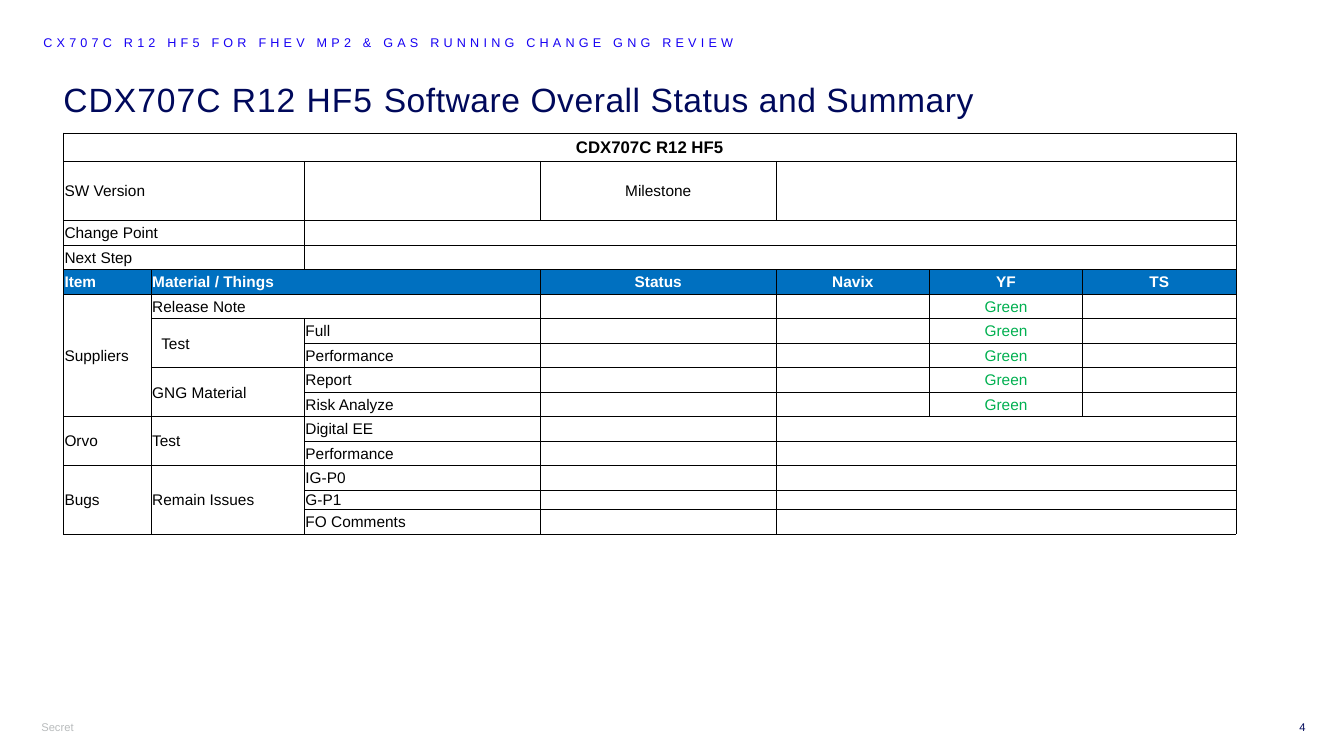
from lxml import etree
from pptx import Presentation
from pptx.dml.color import RGBColor
from pptx.enum.text import MSO_ANCHOR as Anchor, PP_ALIGN as Align
from pptx.oxml.ns import qn
from pptx.util import Inches, Pt

COLORS = {"navy": "00095B", "violet": "1700F3", "gray": "B9BCBD", "black": "000000",
          "white": "FFFFFF", "header": "0070C0", "green": "00B050"}


def add_run(paragraph, text, size, color, bold=False, spacing=0):
    run = paragraph.add_run()
    run.text = text
    run.font.name = "Arial"
    run.font.size = Pt(size)
    run.font.bold = bold
    run.font.color.rgb = RGBColor.from_string(COLORS[color])
    if spacing:
        run._r.get_or_add_rPr().set("spc", str(round(spacing * 100)))


def add_label(box, runs, size, color, align=Align.LEFT, wrap=True, line_spacing=1.0):
    frame = slide.shapes.add_textbox(*[Inches(v) for v in box]).text_frame
    frame.word_wrap = wrap
    frame.margin_left = frame.margin_right = 0
    frame.margin_top = frame.margin_bottom = Inches(0.05)
    paragraph = frame.paragraphs[0]
    paragraph.alignment = align
    paragraph.line_spacing = line_spacing
    for text, spacing in runs:
        add_run(paragraph, text, size, color, spacing=spacing)


prs = Presentation()
prs.slide_width, prs.slide_height = Inches(13.33), Inches(7.5)
slide = prs.slides.add_slide(prs.slide_layouts[6])

# Title, heading line and footer
add_label((0.41, 7.1, 0.43, 0.24), [("Secret", 0)], 8, "gray", wrap=False)
add_label((0.63, 0.78, 11.5, 0.75),
          [("CDX707C R12 HF5 ", 0.7), ("Software Overall Status and Summary", 0.4)],
          24, "navy", line_spacing=0.9)
add_label((0.43, 0.31, 7.61, 0.24),
          [("CX707C R12 HF5 FOR FHEV MP2 & GAS RUNNING CHANGE GNG REVIEW", 3)],
          9, "violet", line_spacing=0.9)
add_label((12.6, 7.1, 0.35, 0.24), [("4", 0)], 8, "navy", align=Align.RIGHT)

# Status table content
status_rows = [
    ["CDX707C R12 HF5", "", "", "", "", "", ""],
    ["SW Version", "", "", "Milestone", "", "", ""],
    ["Change Point", "", "", "", "", "", ""],
    ["Next Step", "", "", "", "", "", ""],
    ["Item", "Material / Things", "", "Status", "Navix", "YF", "TS"],
    ["Suppliers", "Release Note", "", "", "", "Green", ""],
    ["", "Test", "Full", "", "", "Green", ""],
    ["", "", "Performance", "", "", "Green", ""],
    ["", "GNG Material", "Report", "", "", "Green", ""],
    ["", "", "Risk Analyze", "", "", "Green", ""],
    ["Orvo", "Test", "Digital EE", "", "", "", ""],
    ["", "", "Performance", "", "", "", ""],
    ["Bugs", "Remain Issues", "IG-P0", "", "", "", ""],
    ["", "", "G-P1", "", "", "", ""],
    ["", "", "FO Comments", "", "", "", ""],
]
TITLE_ROW, HEADER_ROW, SUPPLIER_TEST = 0, 4, (6, 1)
column_widths = [0.87, 1.52, 2.34, 2.34, 1.52, 1.52, 1.52]
row_heights = [0.28, 0.59] + [0.243] * 11 + [0.17, 0.243]

status = slide.shapes.add_table(len(status_rows), len(column_widths), Inches(0.63), Inches(1.32),
                                Inches(sum(column_widths)), Inches(sum(row_heights))).table
status.first_row = status.horz_banding = False
for column, width in zip(status.columns, column_widths):
    column.width = Inches(width)
for row, height in zip(status.rows, row_heights):
    row.height = Inches(height)

# Cells: margins, borders, fill and text
for r, texts in enumerate(status_rows):
    for c, text in enumerate(texts):
        cell = status.cell(r, c)
        cell.vertical_anchor = Anchor.MIDDLE
        cell.margin_left = Inches(0.1 if (r, c) == SUPPLIER_TEST else 0.01)
        cell.margin_right = cell.margin_top = Inches(0.01)
        cell.margin_bottom = 0
        for side in ("lnL", "lnR", "lnT", "lnB"):
            border = etree.SubElement(cell._tc.get_or_add_tcPr(), qn(f"a:{side}"), w=str(Pt(0.5)))
            line_fill = etree.SubElement(border, qn("a:solidFill"))
            etree.SubElement(line_fill, qn("a:srgbClr"), val=COLORS["black"])
        if r == HEADER_ROW:
            cell.fill.solid()
            cell.fill.fore_color.rgb = RGBColor.from_string(COLORS["header"])
        else:
            cell.fill.background()
        paragraph = cell.text_frame.paragraphs[0]
        if text:
            paragraph.alignment = Align.CENTER if r == TITLE_ROW or c >= 3 else Align.LEFT
            color = "white" if r == HEADER_ROW else "green" if text == "Green" else "black"
            add_run(paragraph, text, 12 if r == TITLE_ROW else 11, color,
                    bold=r in (TITLE_ROW, HEADER_ROW))
        else:
            # Small empty cells keep the rows at their set height
            etree.SubElement(paragraph._p, qn("a:endParaRPr"), sz="800")

# Merged areas: first row, first column, last row, last column
merges = [(0, 0, 0, 6), (1, 4, 1, 6), (4, 1, 4, 2), (5, 0, 9, 0), (5, 1, 5, 2),
          (6, 1, 7, 1), (8, 1, 9, 1), (10, 0, 11, 0), (10, 1, 11, 1),
          (12, 0, 14, 0), (12, 1, 14, 1)]
merges += [(r, 0, r, 1) for r in (1, 2, 3)]
merges += [(r, 2, r, 6) for r in (2, 3)]
merges += [(r, 4, r, 6) for r in range(10, 15)]
for top, left, bottom, right in merges:
    status.cell(top, left).merge(status.cell(bottom, right))

prs.save("out.pptx")
